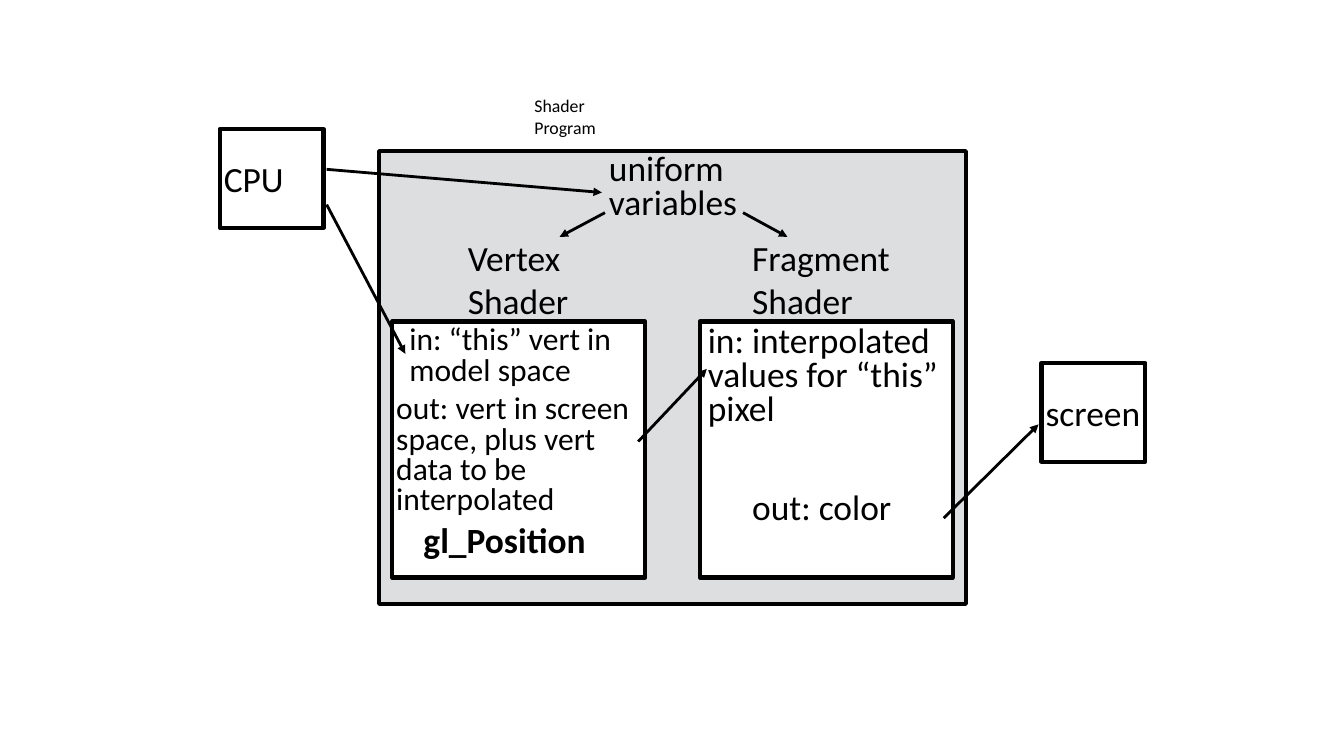
from dataclasses import dataclass
from typing import Optional

from lxml import etree
from pptx import Presentation
from pptx.dml.color import RGBColor
from pptx.enum.shapes import MSO_CONNECTOR, MSO_SHAPE
from pptx.enum.text import MSO_ANCHOR, MSO_AUTO_SIZE, PP_ALIGN
from pptx.oxml.ns import qn
from pptx.util import Inches, Pt

RECT = MSO_SHAPE.RECTANGLE
STRAIGHT = MSO_CONNECTOR.STRAIGHT
MIDDLE = MSO_ANCHOR.MIDDLE
FIT_SHAPE = MSO_AUTO_SIZE.SHAPE_TO_FIT_TEXT
LEFT = PP_ALIGN.LEFT


@dataclass(frozen=True)
class Theme:
    font: str = "Calibri"
    ink: RGBColor = RGBColor(0x00, 0x00, 0x00)
    paper: RGBColor = RGBColor(0xFF, 0xFF, 0xFF)
    panel: RGBColor = RGBColor(0xDC, 0xDE, 0xE0)
    caption: float = 12.7
    detail: float = 22.5
    body: float = 25.3
    box_line: float = 3
    arrow_line: float = 2
    inset: float = 0.04
    tight: float = 0.8


THEME = Theme()


@dataclass(frozen=True)
class Box:
    left: float
    top: float
    width: float
    height: float
    fill: Optional[RGBColor] = None
    text: str = ""


@dataclass(frozen=True)
class Label:
    """Each entry of paragraphs is a paragraph; a newline in it is a line break."""
    left: float
    top: float
    width: float
    height: float
    paragraphs: tuple[str, ...]
    size: float = THEME.body
    spacing: Optional[float] = THEME.tight
    bold: bool = False
    wrap: bool = False


@dataclass(frozen=True)
class Arrow:
    x1: float
    y1: float
    x2: float
    y2: float


DEVICE = (1.03, 0.98)
STAGE_TOP, STAGE_SIZE = 3.19, (2.51, 2.54)
VERTEX_LEFT, FRAGMENT_LEFT = 3.89, 6.94
FRAGMENT_TEXT_LEFT = 7.42

BOXES = (
    Box(10.33, 3.6, *DEVICE, text="screen"),
    Box(2.18, 1.28, *DEVICE, text="CPU"),
    Box(3.76, 1.5, 5.82, 4.49, THEME.panel),
    Box(VERTEX_LEFT, STAGE_TOP, *STAGE_SIZE, THEME.paper),
    Box(FRAGMENT_LEFT, STAGE_TOP, *STAGE_SIZE, THEME.paper),
)

LABELS = (
    Label(5.26, 1.01, 1.23, 0.29, ("Shader Program",), THEME.caption, None),
    Label(6, 1.49, 1.36, 0.76, ("uniform", "variables")),
    Label(4.6, 2.3, 1.09, 0.93, ("Vertex", "Shader"), spacing=None),
    Label(FRAGMENT_TEXT_LEFT, 2.3, 1.46, 0.93, ("Fragment", "Shader"), spacing=None),
    Label(4.02, 3.2, 2.17, 0.68, ("in: “this” vert in", "model space"), THEME.detail),
    Label(VERTEX_LEFT, 3.88, 2.5, 1.29,
          ("out: vert in screen", "space, plus vert", "data to be", "interpolated"),
          THEME.detail, wrap=True),
    Label(4.16, 5.18, 1.71, 0.42, ("gl_Position",), bold=True),
    Label(6.98, STAGE_TOP, 2.38, 1.1, ("in: interpolated\nvalues for “this”", "pixel")),
    Label(FRAGMENT_TEXT_LEFT, 4.85, 1.47, 0.42, ("out: color",)),
)

ARROWS = (
    Arrow(3.24, 1.68, 5.97, 1.91),
    Arrow(3.24, 2.03, 4.02, 3.51),
    Arrow(6, 2.11, 5.55, 2.35),
    Arrow(7.37, 2.11, 7.81, 2.35),
    Arrow(6.33, 4.38, 7.01, 3.66),
    Arrow(9.36, 5.14, 10.3, 4.21),
)


def write_text(tf, paragraphs: tuple[str, ...], size: float,
               spacing: Optional[float] = None, bold: bool = False) -> None:
    tf.margin_left = tf.margin_right = Inches(THEME.inset)
    tf.margin_top = tf.margin_bottom = Inches(THEME.inset)
    tf.vertical_anchor = MIDDLE
    for i, paragraph in enumerate(paragraphs):
        p = tf.add_paragraph() if i else tf.paragraphs[0]
        p.alignment = LEFT
        p.line_spacing = spacing
        for j, line in enumerate(paragraph.split("\n")):
            if j:
                p.add_line_break()
            r = p.add_run()
            r.text = line
            r.font.name = THEME.font
            r.font.size = Pt(size)
            r.font.bold = bold
            r.font.color.rgb = THEME.ink


def draw_box(s, box: Box) -> None:
    sp = s.shapes.add_shape(RECT, Inches(box.left), Inches(box.top),
                            Inches(box.width), Inches(box.height))
    sp.shadow.inherit = False
    if box.fill is None:
        sp.fill.background()
    else:
        sp.fill.solid()
        sp.fill.fore_color.rgb = box.fill
    sp.line.color.rgb = THEME.ink
    sp.line.width = Pt(THEME.box_line)
    if box.text:
        write_text(sp.text_frame, (box.text,), THEME.body)


def draw_label(s, label: Label) -> None:
    sp = s.shapes.add_textbox(Inches(label.left), Inches(label.top),
                              Inches(label.width), Inches(label.height))
    tf = sp.text_frame
    tf.word_wrap = label.wrap
    tf.auto_size = FIT_SHAPE
    write_text(tf, label.paragraphs, label.size, label.spacing, label.bold)


def draw_arrow(s, arrow: Arrow) -> None:
    sp = s.shapes.add_connector(STRAIGHT, Inches(arrow.x1), Inches(arrow.y1),
                                Inches(arrow.x2), Inches(arrow.y2))
    sp.line.color.rgb = THEME.ink
    sp.line.width = Pt(THEME.arrow_line)
    props = sp._element.spPr
    etree.SubElement(props.find(qn("a:ln")), qn("a:tailEnd"), type="triangle")
    etree.SubElement(props, qn("a:effectLst"))


def main() -> None:
    prs = Presentation()
    prs.slide_width, prs.slide_height = Inches(13.33), Inches(7.5)
    s = prs.slides.add_slide(prs.slide_layouts[6])
    for box in BOXES:
        draw_box(s, box)
    for label in LABELS:
        draw_label(s, label)
    for arrow in ARROWS:
        draw_arrow(s, arrow)
    prs.save("out.pptx")


if __name__ == "__main__":
    main()
